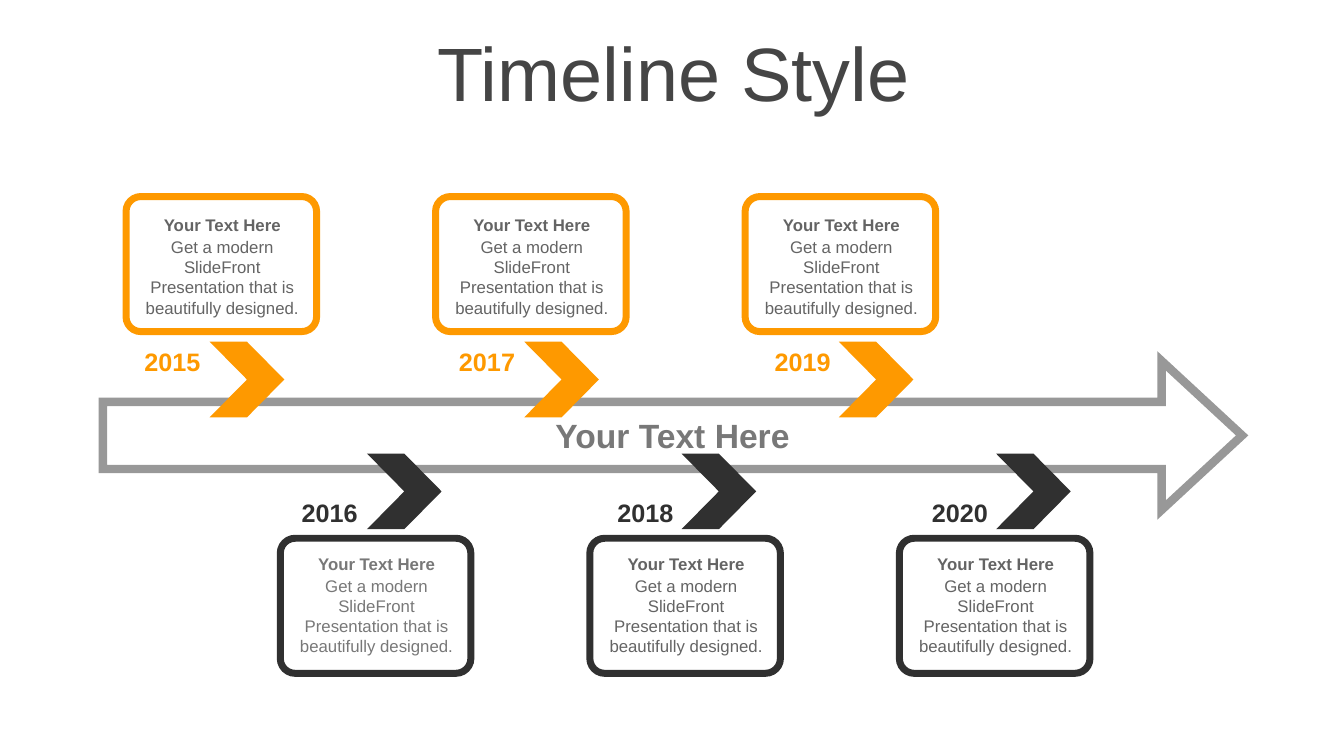
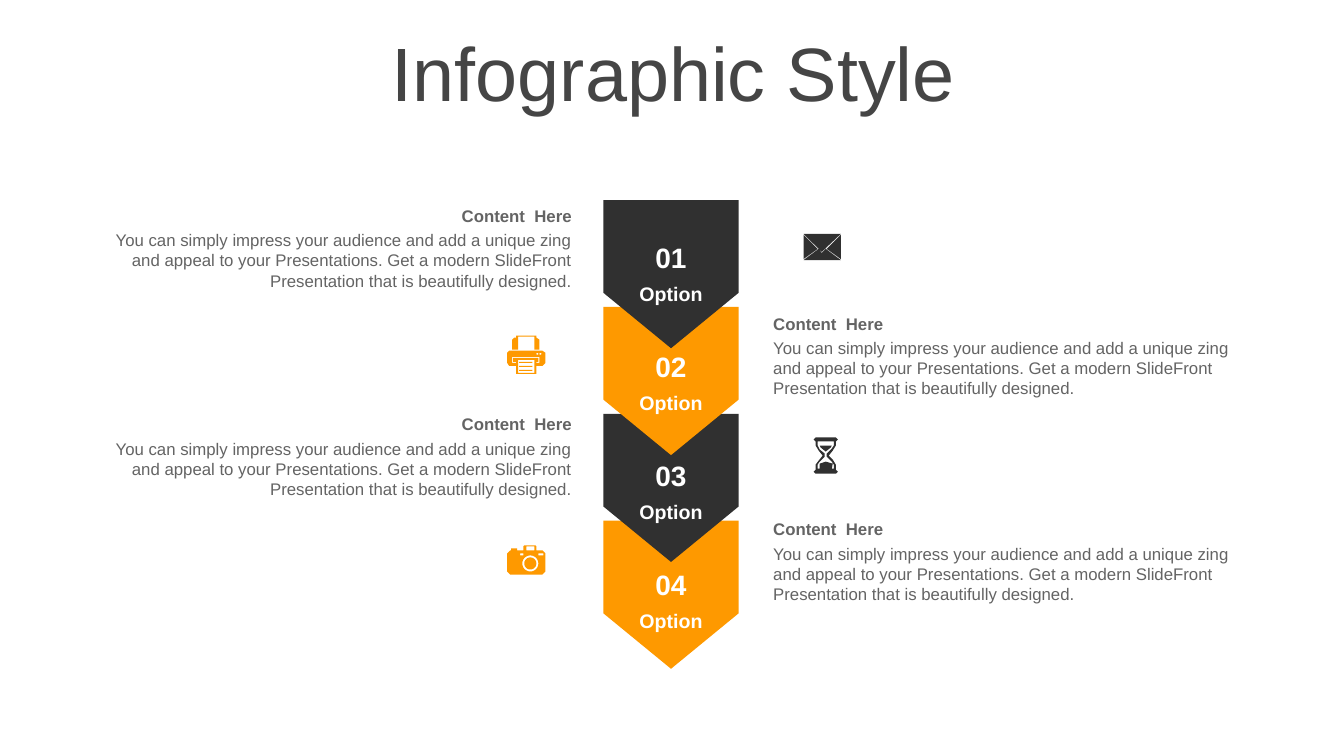
"""Build a two-slide deck: an arrow timeline and a four-option infographic."""
from math import cos, pi, sin

from lxml import etree
from pptx import Presentation
from pptx.dml.color import RGBColor
from pptx.enum.shapes import MSO_SHAPE
from pptx.enum.text import MSO_ANCHOR, MSO_AUTO_SIZE, PP_ALIGN
from pptx.oxml.ns import qn
from pptx.util import Emu, Pt

PX = 9144
FINE = 10
TITLE_ONLY = 5
FONT = "Arial"

ORANGE = RGBColor(0xFE, 0x99, 0x00)
CHARCOAL = RGBColor(0x30, 0x30, 0x30)
WHITE = RGBColor(0xFF, 0xFF, 0xFF)
TITLE_GRAY = RGBColor(0x45, 0x45, 0x45)
TEXT_GRAY = RGBColor(0x64, 0x64, 0x64)
LIGHT_GRAY = RGBColor(0x78, 0x78, 0x78)
ARROW_GRAY = RGBColor(0x98, 0x98, 0x98)

CHEVRON = MSO_SHAPE.CHEVRON
BANNER = MSO_SHAPE.PENTAGON
CARD = MSO_SHAPE.ROUNDED_RECTANGLE
ARROW = MSO_SHAPE.RIGHT_ARROW
LEFT, CENTER, RIGHT = PP_ALIGN.LEFT, PP_ALIGN.CENTER, PP_ALIGN.RIGHT
TOP, MIDDLE = MSO_ANCHOR.TOP, MSO_ANCHOR.MIDDLE
NO_FIT = MSO_AUTO_SIZE.NONE

TITLE = {"size": Pt(54), "bold": False}
YEAR = {"size": Pt(18), "bold": True}
CAPTION = {"size": Pt(24), "bold": True}
HEADING = {"size": Pt(12), "bold": True}
BODY = {"size": Pt(12), "bold": False}
NUMBER = {"size": Pt(20), "bold": True}
OPTION = {"size": Pt(14), "bold": True}


def apply(target, values):
    """Set each named attribute of the target."""
    for name, value in values.items():
        setattr(target, name, value)


def circle(x, y, radius, steps=24):
    """Return the points of a circle."""
    turns = [2 * pi * step / steps for step in range(steps)]
    return [(x + radius * cos(turn), y + radius * sin(turn)) for turn in turns]


def rect(left, top, right, bottom):
    """Return the corners of a rectangle."""
    return [(left, top), (right, top), (right, bottom), (left, bottom)]


ENVELOPE = [
    [(22, 15), (37, 26), (0, 26), (15, 15), (18, 19)],
    [(37, 1), (37, 25), (23, 15)],
    [(0, 1), (14, 15), (0, 25)],
    [(0, 0), (37, 0), (18, 18)],
]
PRINTER = [
    *(rect(12, y, 25, y + 1) for y in (26, 30, 34)),
    rect(11, 24, 27, 37),
    [(5, 21), (5, 27), (9, 27), (9, 26), (6, 26), (6, 22),
     (31, 22), (31, 26), (29, 26), (29, 27), (32, 27), (32, 21)],
    circle(33, 18, 1),
    circle(30, 18, 1),
    [(2, 15), (35, 15), (38, 17), (38, 27), (35, 30), (29, 30),
     (29, 38), (9, 38), (9, 30), (2, 30), (0, 27), (0, 17)],
    [(9, 0), (29, 0), (29, 2), (32, 4), (32, 14), (27, 14), (27, 1),
     (11, 1), (11, 14), (5, 14), (5, 4), (7, 2), (9, 2)],
]
HOURGLASS = [
    [(12, 24), (19, 26), (18, 31), (6, 31), (6, 26)],
    [(6, 8), (18, 8), (17, 10), (12, 14), (7, 10)],
    [(4, 4), (4, 8), (6, 12), (11, 16), (11, 19), (6, 24), (4, 27), (4, 31),
     (20, 31), (20, 27), (18, 24), (13, 19), (13, 16), (18, 11), (20, 8), (20, 4)],
    [(2, 0), (22, 0), (24, 2), (22, 4), (22, 8), (19, 13), (15, 18), (19, 22),
     (22, 27), (22, 32), (24, 34), (22, 36), (2, 36), (0, 34), (2, 32), (2, 27),
     (5, 23), (9, 18), (5, 13), (2, 8), (2, 4), (0, 2)],
]
CAMERA = [
    circle(23, 18, 6),
    circle(23, 18, 8),
    rect(13, 8, 16, 10),
    rect(31, 8, 36, 10),
    rect(19, 1, 27, 5),
    [(17, 0), (28, 0), (29, 1), (29, 5), (35, 5), (38, 8), (38, 26), (35, 29),
     (3, 29), (0, 26), (0, 8), (3, 5), (4, 5), (4, 3), (10, 3), (10, 5),
     (16, 5), (16, 1)],
]


class Deck:
    """Hold the shared style and the current slide."""

    def __init__(self):
        """Start an empty wide presentation."""
        self.show = Presentation()
        apply(self.show, {"slide_width": Emu(1333 * PX), "slide_height": Emu(750 * PX)})
        self.slide = None

    def fill_text(self, frame, lines, align, anchor=TOP):
        """Fill a text frame with (text, font, colour, space before) lines."""
        apply(frame, {"word_wrap": True, "auto_size": NO_FIT, "vertical_anchor": anchor})
        for index, (text, font, color, gap) in enumerate(lines):
            paragraph = frame.add_paragraph() if index else frame.paragraphs[0]
            apply(paragraph, {"text": text, "alignment": align, "space_before": Pt(gap)})
            apply(paragraph.font, {"name": FONT, **font})
            paragraph.font.color.rgb = color

    def add_slide(self, title):
        """Add a slide with its centred title."""
        self.slide = self.show.slides.add_slide(self.show.slide_layouts[TITLE_ONLY])
        heading = self.slide.shapes.title
        apply(heading, {"left": Emu(35 * PX), "top": Emu(37 * PX),
                        "width": Emu(1266 * PX), "height": Emu(79 * PX)})
        self.fill_text(heading.text_frame, [(title, TITLE, TITLE_GRAY, 0)], CENTER, MIDDLE)
        heading.text_frame.paragraphs[0].line_spacing = 0.9

    def text(self, box, lines, align=CENTER):
        """Add a text box."""
        area = self.slide.shapes.add_textbox(*(Emu(length * PX) for length in box))
        self.fill_text(area.text_frame, lines, align)

    def paint(self, shape, fill, line=None, weight=0):
        """Give a shape its fill and outline."""
        shape.shadow.inherit = False
        shape.fill.solid()
        shape.fill.fore_color.rgb = fill
        if line is None:
            shape.line.fill.background()
            return
        shape.line.color.rgb = line
        shape.line.width = Pt(weight)
        outline = shape.element.spPr.find(qn("a:ln"))
        etree.SubElement(outline, qn("a:miter"), lim="800000")

    def shape(self, preset, box, fill, line=None, weight=0, adjust=(), turn=0):
        """Add a preset shape."""
        shape = self.slide.shapes.add_shape(preset, *(Emu(length * PX) for length in box))
        for index, value in enumerate(adjust):
            shape.adjustments[index] = value
        shape.rotation = turn
        self.paint(shape, fill, line, weight)

    def icon(self, left, top, contours, fill):
        """Draw an icon from closed contours."""
        outline = None
        for contour in contours:
            start, *rest = [(x * FINE, y * FINE) for x, y in contour]
            if outline is None:
                outline = self.slide.shapes.build_freeform(*start, scale=PX / FINE)
            else:
                outline.move_to(*start)
            outline.add_line_segments(rest, close=True)
        self.paint(outline.convert_to_shape(Emu(left * PX), Emu(top * PX)), fill)


def build_timeline(deck):
    """Build the arrow timeline with six dated cards."""
    deck.add_slide("Timeline Style")
    deck.shape(ARROW, (102, 358, 1130, 148), WHITE, ARROW_GRAY, 6, (0.45, 0.54))
    deck.text((450, 407, 434, 50), [("Your Text Here", CAPTION, LIGHT_GRAY, 0)])
    rows = [(ORANGE, 339, 339, 195, 208), (CHARCOAL, 450, 488, 534, 544)]
    for index, year in enumerate(range(2015, 2021)):
        color, chevron_top, year_top, card_top, text_top = rows[index % 2]
        card_left = 125 + round(153.4 * index)
        text_color = LIGHT_GRAY if year == 2016 else TEXT_GRAY
        deck.shape(CHEVRON, (208 + 156 * index, chevron_top, 74, 75), color)
        deck.text((120 + round(156.2 * index), year_top, 102, 40),
                  [(str(year), YEAR, color, 0)])
        deck.shape(CARD, (card_left, card_top, 189, 134), WHITE, color, 5, (0.11,))
        deck.text((card_left + 5, text_top, 181, 112), [
            ("Your Text Here", HEADING, text_color, 0),
            ("Get a modern SlideFront Presentation that is beautifully designed.",
             BODY, text_color, 1.5),
        ])


def build_infographic(deck):
    """Build the column of four options with side notes and icons."""
    deck.add_slide("Infographic Style")
    message = ("You can simply impress your audience and add a unique zing and appeal to "
               "your Presentations. Get a modern SlideFront Presentation that is "
               "beautifully designed.")
    options = [
        (CHARCOAL, 98, 199, RIGHT, 797, 232, ENVELOPE),
        (ORANGE, 757, 306, LEFT, 503, 333, PRINTER),
        (CHARCOAL, 98, 406, RIGHT, 807, 434, HOURGLASS),
        (ORANGE, 757, 510, LEFT, 503, 541, CAMERA),
    ]
    for index, (color, *_) in reversed(list(enumerate(options))):
        deck.shape(BANNER, (592, 205 + 106 * index, 147, 134), color, adjust=(0.41,), turn=90)
    for index, (color, left, top, align, icon_left, icon_top, icon) in enumerate(options):
        deck.text((611, 234 + 108 * index, 109, 80), [
            (f"{index + 1:02}", NUMBER, WHITE, 0),
            ("Option", OPTION, WHITE, 5.5),
        ])
        deck.text((left, top, 479, 94), [
            ("Content  Here", HEADING, TEXT_GRAY, 0),
            (message, BODY, TEXT_GRAY, 3),
        ], align)
        deck.icon(icon_left, icon_top, icon, color)


def main():
    """Build and save the deck."""
    deck = Deck()
    build_timeline(deck)
    build_infographic(deck)
    deck.show.save("out.pptx")


if __name__ == "__main__":
    main()
